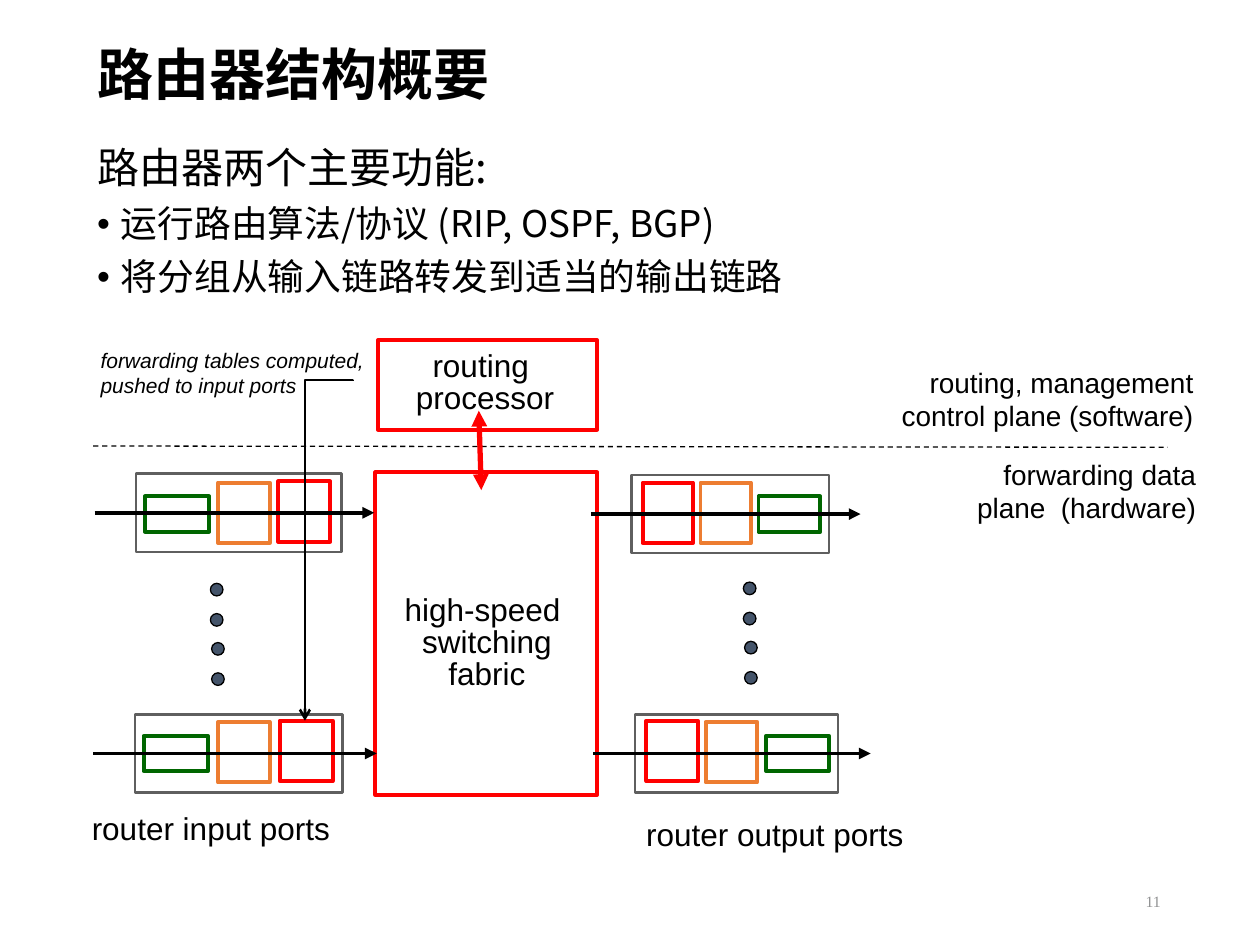
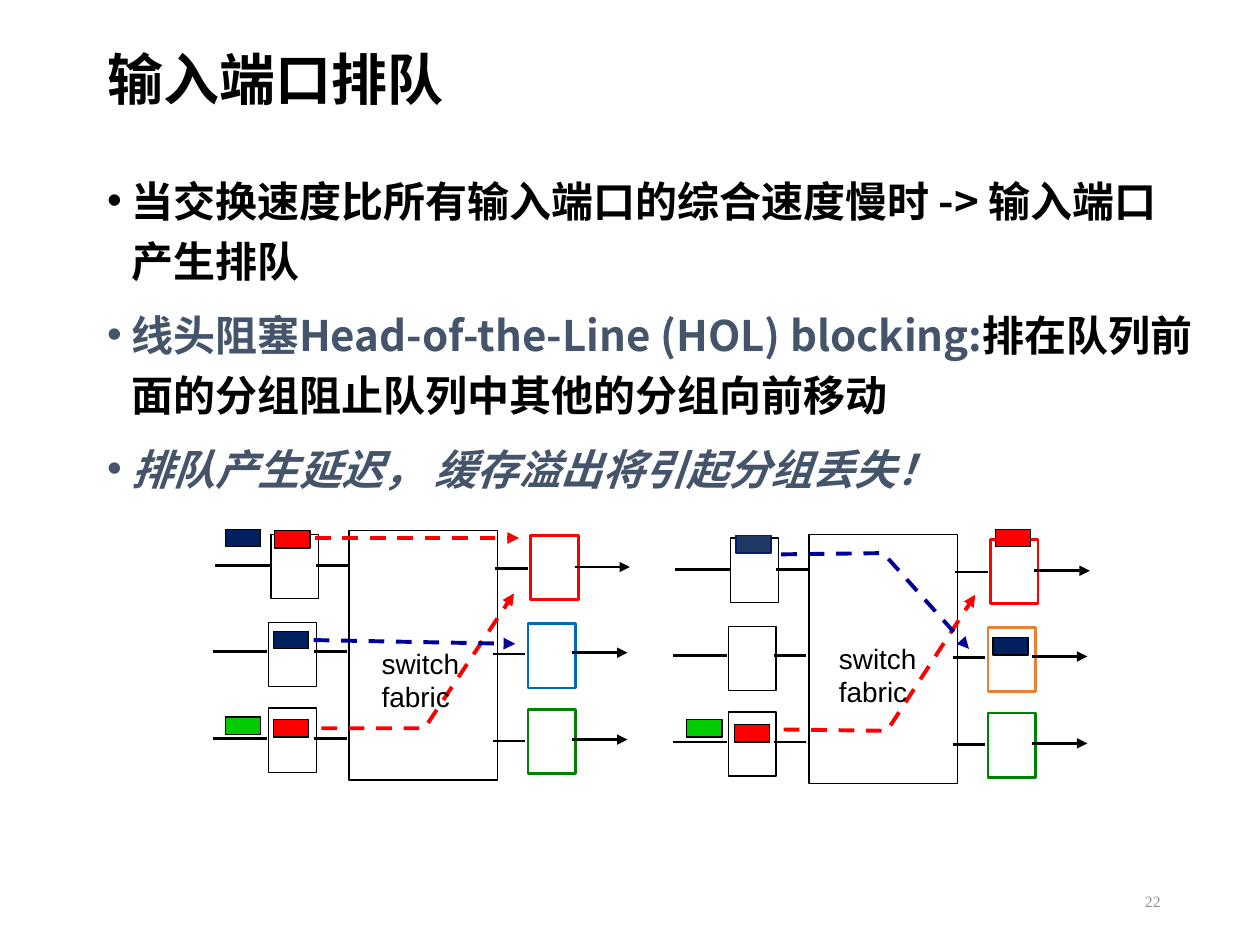
from dataclasses import dataclass
from typing import NamedTuple, Optional

from lxml import etree
from pptx import Presentation
from pptx.dml.color import RGBColor
from pptx.enum import dml, shapes, text
from pptx.oxml import ns

PX = 9144


@dataclass(frozen=True)
class Theme:
    black: str = "000000"
    white: str = "FFFFFF"
    slate: str = "44546A"
    grey: str = "5F5F5F"
    page: str = "919293"
    red: str = "FF0000"
    orange: str = "ED7D31"
    dark_green: str = "006600"
    green: str = "008000"
    lime: str = "00CC00"
    blue: str = "0069B8"
    path_blue: str = "000099"
    navy: str = "002060"
    steel: str = "203864"
    heading: str = "Noto Sans CJK SC"
    label: str = "Arial"
    number: str = "Times New Roman"
    title_size: float = 32
    lead_size: float = 24
    item_size: float = 21
    big_label: float = 18
    mid_label: float = 16
    note_size: float = 12
    page_size: float = 9
    hair: float = 0.75
    thin: float = 1.5
    thick: float = 2.25
    heavy: float = 3


T = Theme()


class Box(NamedTuple):
    x: int
    y: int
    w: int
    h: int

    def emu(self) -> list[int]:
        return [v * PX for v in self]


class Run(NamedTuple):
    text: str
    size: float
    color: str = T.black
    bold: bool = False
    italic: bool = False
    font: str = T.heading


class Item(NamedTuple):
    runs: list[Run]
    bullet: bool = True


class Label(NamedTuple):
    box: Box
    lines: list[str]
    size: float
    align: str = "LEFT"
    spacing: float = 1.0
    wrap: bool = False
    italic: bool = False


class Port(NamedTuple):
    frame: Box
    green: Box
    orange: Box
    red: Box
    wire: tuple[int, int]


class Lane(NamedTuple):
    shift: int
    top: int
    wire: int


class Packet(NamedTuple):
    x: int
    y: int
    color: str
    edge: str = T.black


class Panel(NamedTuple):
    dx: int
    dy: int
    outputs: list[str]
    label: tuple[int, int]
    packets: list[Packet]
    paths: list[tuple[str, list[tuple[int, int]]]]


def rgb(color: str) -> RGBColor:
    return RGBColor.from_string(color)


def add_run(p, run: Run) -> None:
    r = p.add_run()
    r.text = run.text
    f = r.font
    f.size = int(run.size * 12700)
    f.bold, f.italic, f.name = run.bold, run.italic, run.font
    f.color.rgb = rgb(run.color)
    etree.SubElement(r._r.get_or_add_rPr(), ns.qn("a:ea"), typeface=run.font)


def place(sp, box: Box) -> None:
    sp.left, sp.top, sp.width, sp.height = box.emu()


def paragraph(tf, index: int):
    return tf.paragraphs[0] if index == 0 else tf.add_paragraph()


def add_slide(prs, title: str, title_box: Box, body_box: Box, items: list[Item],
              spacing: float, page: str):
    s = prs.slides.add_slide(prs.slide_layouts[1])
    sp, body = s.shapes.title, s.placeholders[1]
    place(sp, title_box)
    place(body, body_box)
    for ph in (sp, body):
        ph.text_frame.auto_size = text.MSO_AUTO_SIZE.NONE
    sp.text_frame.vertical_anchor = text.MSO_ANCHOR.MIDDLE
    p = sp.text_frame.paragraphs[0]
    p.alignment, p.line_spacing = text.PP_ALIGN.LEFT, 0.9
    add_run(p, Run(title, T.title_size, bold=True))
    for i, item in enumerate(items):
        p = paragraph(body.text_frame, i)
        pPr = p._p.get_or_add_pPr()
        pPr.set("marL", str(19 * PX))
        pPr.set("indent", str(-19 * PX))
        if item.bullet:
            etree.SubElement(pPr, ns.qn("a:buFont"), typeface=T.label)
            etree.SubElement(pPr, ns.qn("a:buChar"), char="•")
        else:
            etree.SubElement(pPr, ns.qn("a:buNone"))
        p.line_spacing = spacing
        p.space_before = int(7.5 * 12700) if i else 0
        for run in item.runs:
            add_run(p, run)
    tf = s.shapes.add_textbox(*Box(706, 695, 225, 40).emu()).text_frame
    tf.word_wrap, tf.vertical_anchor = True, text.MSO_ANCHOR.MIDDLE
    tf.paragraphs[0].alignment = text.PP_ALIGN.RIGHT
    add_run(tf.paragraphs[0], Run(page, T.page_size, T.page, font=T.number))
    return s


def add_label(s, label: Label) -> None:
    tf = s.shapes.add_textbox(*label.box.emu()).text_frame
    tf.word_wrap = label.wrap
    tf.auto_size = text.MSO_AUTO_SIZE.SHAPE_TO_FIT_TEXT
    for i, line in enumerate(label.lines):
        p = paragraph(tf, i)
        p.alignment = text.PP_ALIGN[label.align]
        p.line_spacing = label.spacing
        add_run(p, Run(line, label.size, italic=label.italic, font=T.label))


def add_block(s, box: Box, line: str, width: float, fill: str = T.white,
              kind=shapes.MSO_SHAPE.RECTANGLE) -> None:
    sp = s.shapes.add_shape(kind, *box.emu())
    sp.shadow.inherit = False
    sp.fill.solid()
    sp.fill.fore_color.rgb = rgb(fill)
    sp.line.color.rgb = rgb(line)
    sp.line.width = int(width * 12700)


def style_line(sp, color: str, width: float, dashed: bool, head: Optional[str],
               tail: Optional[str]) -> None:
    sp.line.color.rgb = rgb(color)
    sp.line.width = int(width * 12700)
    if dashed:
        sp.line.dash_style = dml.MSO_LINE.DASH
    ln = sp.line._get_or_add_ln()
    for tag, kind in (("a:headEnd", head), ("a:tailEnd", tail)):
        if kind:
            etree.SubElement(ln, ns.qn(tag), type=kind)


def add_line(s, x1: int, y1: int, x2: int, y2: int, color: str = T.black,
             width: float = T.thick, dashed: bool = False, head: Optional[str] = None,
             tail: Optional[str] = None, kind=shapes.MSO_CONNECTOR.STRAIGHT):
    c = s.shapes.add_connector(kind, *(v * PX for v in (x1, y1, x2, y2)))
    style_line(c, color, width, dashed, head, tail)
    etree.SubElement(c._element.spPr, ns.qn("a:effectLst"))
    return c


def add_path(s, points: list[tuple[int, int]], color: str) -> None:
    if len(points) == 2:
        add_line(s, *points[0], *points[1], color, dashed=True, tail="triangle")
        return
    start, *rest = [(x * PX, y * PX) for x, y in points]
    fb = s.shapes.build_freeform(*start)
    fb.add_line_segments(rest, close=False)
    sp = fb.convert_to_shape()
    sp.shadow.inherit = False
    sp.fill.background()
    style_line(sp, color, T.thick, True, None, "triangle")


def add_port(s, port: Port) -> None:
    add_block(s, port.frame, T.grey, T.thin)
    add_block(s, port.green, T.dark_green, T.thick)
    add_block(s, port.orange, T.orange, T.thick)
    add_block(s, port.red, T.red, T.thick)
    y = port.frame.y + 31
    add_line(s, port.wire[0], y, port.wire[1], y, tail="triangle")


def router_overview(prs) -> None:
    items = [Item([Run("路由器两个主要功能:", T.lead_size)], bullet=False),
             Item([Run("运行路由算法/协议 (RIP, OSPF, BGP)", T.item_size)]),
             Item([Run("将分组从输入链路转发到适当的输出链路", T.item_size)])]
    s = add_slide(prs, "路由器结构概要", Box(67, 28, 850, 67), Box(67, 112, 889, 188),
                  items, 0.9, "11")
    for box in (Box(298, 375, 176, 256), Box(300, 270, 174, 71)):
        add_block(s, box, T.red, T.thick)
    ports = [
        Port(Box(108, 376, 163, 62), Box(115, 394, 51, 28), Box(173, 383, 41, 48),
             Box(221, 382, 41, 48), (75, 297)),
        Port(Box(107, 567, 165, 62), Box(114, 584, 51, 28), Box(173, 573, 41, 48),
             Box(222, 572, 42, 48), (74, 299)),
        Port(Box(501, 377, 157, 62), Box(602, 394, 49, 28), Box(556, 383, 40, 48),
             Box(510, 383, 40, 48), (469, 683)),
        Port(Box(504, 567, 161, 62), Box(608, 584, 50, 28), Box(560, 573, 41, 48),
             Box(513, 572, 41, 48), (471, 691))]
    for port in ports:
        add_port(s, port)
    for x, y in ((167, 463), (590, 462)):
        for i in range(4):
            add_block(s, Box(x + i // 2, y + round(23.6 * i), 10, 10), T.black, T.hair,
                      T.slate, shapes.MSO_SHAPE.OVAL)
    add_line(s, 74, 354, 927, 355, width=T.hair, dashed=True)
    labels = [
        Label(Box(311, 468, 151, 89), ["high-speed ", "switching", "fabric"],
              T.big_label, "CENTER", 0.85),
        Label(Box(320, 274, 130, 61), ["routing ", "processor"],
              T.big_label, "CENTER", 0.85),
        Label(Box(63, 637, 209, 40), ["router input ports"], T.big_label),
        Label(Box(503, 642, 224, 40), ["router output ports"], T.big_label),
        Label(Box(747, 358, 212, 64), ["forwarding data plane  (hardware)"],
              T.mid_label, "RIGHT", wrap=True),
        Label(Box(689, 285, 268, 64), ["routing, management", "control plane (software)"],
              T.mid_label, "RIGHT", wrap=True),
        Label(Box(70, 271, 236, 50), ["forwarding tables computed,", "pushed to input ports"],
              T.note_size, italic=True)]
    for label in labels:
        add_label(s, label)
    add_line(s, 380, 326, 382, 389, T.red, T.heavy, head="triangle", tail="triangle")
    push = add_line(s, 126, 418, 396, 456, width=T.thin, tail="arrow",
                    kind=shapes.MSO_CONNECTOR.ELBOW)
    spPr = push._element.spPr
    spPr.find(ns.qn("a:xfrm")).set("rot", str(90 * 60000))
    guides = spPr.find(ns.qn("a:prstGeom")).find(ns.qn("a:avLst"))
    etree.SubElement(guides, ns.qn("a:gd"), name="adj1", fmla="val -100")


LANES = [Lane(0, 424, 449), Lane(-2, 494, 517), Lane(-2, 562, 586)]


def add_panel(s, panel: Panel) -> None:
    dx, dy = panel.dx, panel.dy
    add_block(s, Box(277 + dx, 421 + dy, 118, 198), T.black, T.hair)
    for lane, color in zip(LANES, panel.outputs):
        x, top, y = lane.shift + dx, lane.top + dy, lane.wire + dy
        add_block(s, Box(215 + x, top, 38, 51), T.black, T.hair)
        add_block(s, Box(421 + x, top + 1, 38, 51), color, T.thin)
        for x1, x2, drop, tail in ((171, 214, 0, None), (251, 277, 0, None),
                                   (393, 419, 2, None), (456, 500, 1, "triangle")):
            add_line(s, x1 + x, y + drop, x2 + x, y + drop, width=T.thin, tail=tail)
    for pk in panel.packets:
        add_block(s, Box(pk.x, pk.y, 28, 14), pk.edge, T.hair, pk.color)
    for color, points in panel.paths:
        add_path(s, points, color)
    add_label(s, Label(Box(*panel.label, 82, 64), ["switch", "fabric"], T.mid_label))


def input_queueing(prs) -> None:
    size = T.lead_size
    items = [
        Item([Run("当交换速度比所有输入端口的综合速度慢时 -> 输入端口产生排队", size, bold=True)]),
        Item([Run("线头阻塞Head-of-the-Line (HOL) blocking:", size, T.slate, True),
              Run("排在队列前面的分组阻止队列中其他的分组向前移动", size, bold=True)]),
        Item([Run("排队产生延迟， 缓存溢出将引起分组丢失！", size, T.slate, True, True)])]
    s = add_slide(prs, "输入端口排队", Box(75, 40, 850, 50), Box(75, 126, 886, 330),
                  items, 1.2, "22")
    panels = [
        Panel(0, 0, [T.red, T.blue, T.green], (293, 508),
              [Packet(218, 421, T.red), Packet(217, 501, T.navy), Packet(217, 571, T.red),
               Packet(179, 420, T.navy), Packet(179, 569, T.lime)],
              [(T.red, [(250, 427), (412, 427)]),
               (T.red, [(255, 578), (337, 578), (408, 471)]),
               (T.path_blue, [(249, 508), (409, 511)])]),
        Panel(365, 3, [T.red, T.orange, T.green], (656, 504),
              [Packet(790, 420, T.red), Packet(584, 425, T.steel, T.navy),
               Packet(583, 575, T.red), Packet(545, 571, T.lime), Packet(788, 506, T.navy)],
              [(T.red, [(622, 579), (704, 580), (774, 472)]),
               (T.path_blue, [(620, 440), (701, 439), (769, 515)])])]
    for panel in panels:
        add_panel(s, panel)


def main() -> None:
    prs = Presentation()
    prs.slide_width, prs.slide_height = 1000 * PX, 750 * PX
    router_overview(prs)
    input_queueing(prs)
    prs.save("out.pptx")


if __name__ == "__main__":
    main()
